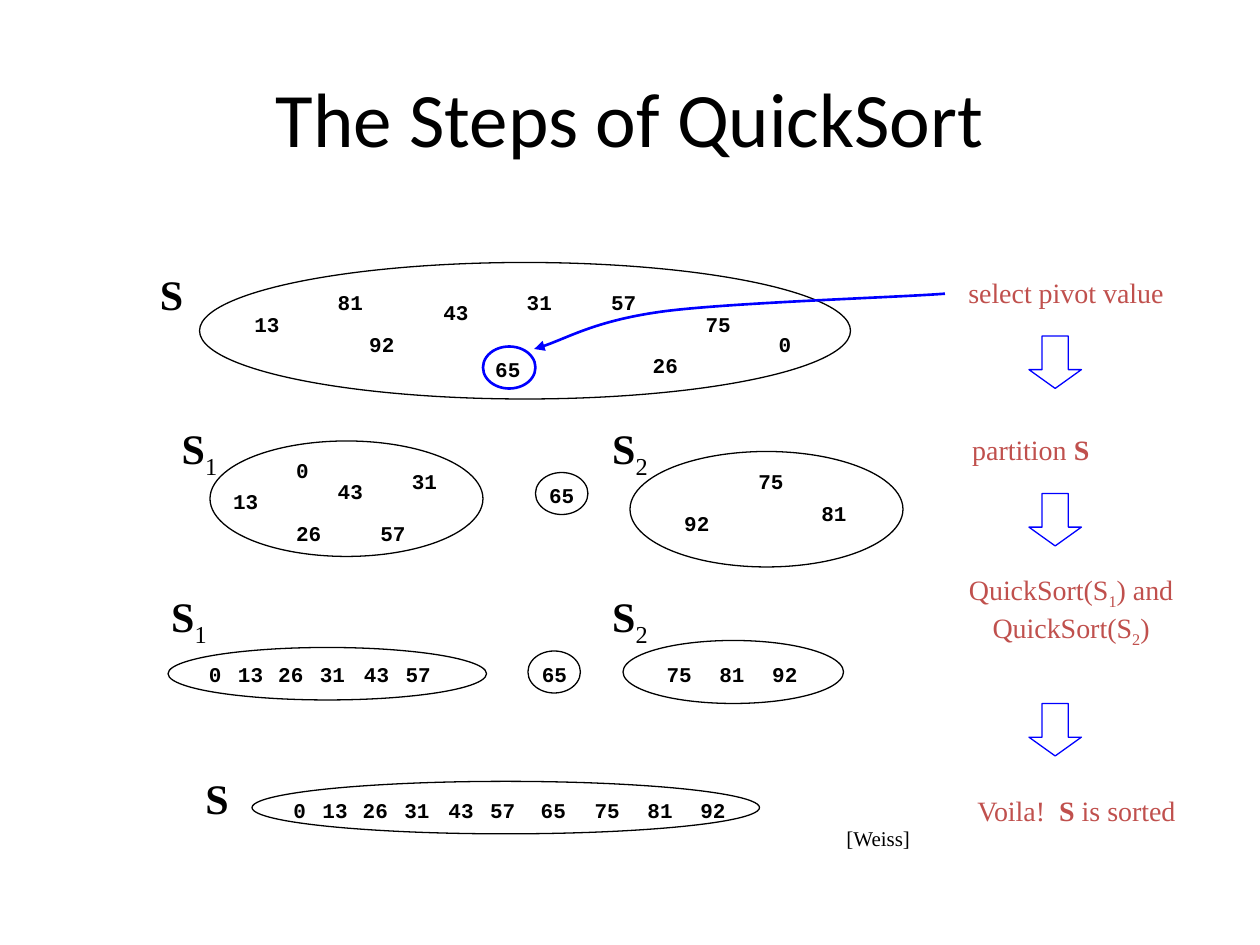
from dataclasses import dataclass

from lxml import etree
from pptx import Presentation
from pptx.dml.color import RGBColor
from pptx.enum.shapes import MSO_SHAPE
from pptx.enum.text import MSO_ANCHOR, MSO_AUTO_SIZE, PP_ALIGN
from pptx.oxml.ns import qn
from pptx.util import Pt

OVAL, DOWN_ARROW = MSO_SHAPE.OVAL, MSO_SHAPE.DOWN_ARROW
MIDDLE, CENTER = MSO_ANCHOR.MIDDLE, PP_ALIGN.CENTER
GROW = MSO_AUTO_SIZE.SHAPE_TO_FIT_TEXT


@dataclass(frozen=True)
class Theme:
    """Colours, fonts and type sizes of the slide."""
    ink: RGBColor = RGBColor(0, 0, 0)
    paper: RGBColor = RGBColor(255, 255, 255)
    accent: RGBColor = RGBColor(0, 0, 255)
    step: RGBColor = RGBColor(0xC0, 0x50, 0x4D)
    title_font: str = "Calibri"
    number_font: str = "Courier New"
    text_font: str = "Times New Roman"
    title_size: int = 44
    set_size: int = 24
    step_size: int = 16
    small_size: int = 12
    thin: float = 0.75
    thick: float = 1.5


class Diagram:
    """Draws the elements of a sorting diagram on one slide."""

    def __init__(self, slide, theme):
        self.s, self.t = slide, theme

    def style(self, p, font, size, color):
        """Centre a paragraph and set its font."""
        p.alignment = CENTER
        p.font.name, p.font.size = font, Pt(size)
        p.font.color.rgb = color

    def title(self, text, box):
        """Fill and place the title placeholder."""
        sp = self.s.shapes.title
        sp.left, sp.top, sp.width, sp.height = map(Pt, box)
        tf = sp.text_frame
        tf.text, tf.vertical_anchor = text, MIDDLE
        self.style(tf.paragraphs[0], self.t.title_font, self.t.title_size, self.t.ink)

    def text(self, box, paragraphs, font, size, color):
        """Add centred text; each run is a (text, mark) pair, mark being '', 'b' or 'sub'."""
        tf = self.s.shapes.add_textbox(*map(Pt, box)).text_frame
        tf.word_wrap, tf.auto_size, tf.vertical_anchor = False, GROW, MIDDLE
        for i, runs in enumerate(paragraphs):
            p = tf.add_paragraph() if i else tf.paragraphs[0]
            self.style(p, font, size, color)
            for text, mark in runs:
                r = p.add_run()
                r.text, r.font.bold = text, mark == "b"
                if mark == "sub":
                    r.font._element.set("baseline", "-25000")

    def number(self, value, x, y):
        """Add a number centred on a point."""
        w, h = (28.8 if value > 9 else 21.6), 21.6
        self.text((x - w / 2, y - h / 2, w, h), [[(str(value), "b")]],
                  self.t.number_font, self.t.small_size, self.t.ink)

    def row(self, values, xs, y):
        """Add sorted numbers on one line."""
        for value, x in zip(values, xs):
            self.number(value, x, y)

    def set_label(self, x, y, index=""):
        """Add the name of a set with an optional index."""
        runs = [("S", "b")] + ([(index, "sub")] if index else [])
        self.text((x, y, 36 if index else 28, 36), [runs],
                  self.t.text_font, self.t.set_size, self.t.ink)

    def step(self, box, *paragraphs):
        """Add the description of a step."""
        self.text(box, paragraphs, self.t.text_font, self.t.step_size, self.t.step)

    def note(self, box, text):
        """Add a small plain note."""
        self.text(box, [[(text, "")]], self.t.text_font, self.t.small_size, self.t.ink)

    def outline(self, sp, color, width, fill=None):
        """Give a shape its line and fill, without shadow."""
        sp.shadow.inherit = False
        sp.line.color.rgb, sp.line.width = color, Pt(width)
        if fill is None:
            sp.fill.background()
        else:
            sp.fill.solid()
            sp.fill.fore_color.rgb = fill

    def ellipse(self, box, fill=None):
        """Add the outline of a set."""
        sp = self.s.shapes.add_shape(OVAL, *map(Pt, box))
        self.outline(sp, self.t.ink, self.t.thin, fill)

    def pivot(self, x, y, chosen=False):
        """Add the ring around a pivot value."""
        sp = self.s.shapes.add_shape(OVAL, Pt(x), Pt(y), Pt(30), Pt(24))
        if chosen:
            self.outline(sp, self.t.accent, self.t.thick)
        else:
            self.outline(sp, self.t.ink, self.t.thin)

    def down_arrow(self, x, y):
        """Add a block arrow leading to the next step."""
        sp = self.s.shapes.add_shape(DOWN_ARROW, Pt(x), Pt(y), Pt(30), Pt(30))
        sp.adjustments[0], sp.adjustments[1] = 0.5, 0.358
        self.outline(sp, self.t.accent, self.t.thin)

    def curved_arrow(self, start, points):
        """Add an arrow along Bezier curves, three points to each curve."""
        fb = self.s.shapes.build_freeform(Pt(start[0]), Pt(start[1]))
        fb.add_line_segments([(Pt(x), Pt(y)) for x, y in points], close=False)
        sp = fb.convert_to_shape()
        self.outline(sp, self.t.accent, self.t.thick)
        track = next(sp._element.iter(qn("a:path")))
        segments = track.findall(qn("a:lnTo"))
        for i in range(0, len(segments), 3):
            curve = etree.SubElement(track, qn("a:cubicBezTo"))
            for segment in segments[i:i + 3]:
                curve.append(segment[0])
                track.remove(segment)
        etree.SubElement(sp.line._get_or_add_ln(), qn("a:tailEnd"), type="triangle")


def main():
    """Build the slide and save it."""
    prs = Presentation()
    prs.slide_width, prs.slide_height = Pt(720), Pt(540)
    theme = Theme()
    d = Diagram(prs.slides.add_slide(prs.slide_layouts[5]), theme)
    d.title("The Steps of QuickSort", (36, 21.6, 648, 90))

    for box in ((114, 150, 372, 78), (120, 252, 156, 66), (96, 370, 182, 30),
                (144, 446.5, 290, 30)):
        d.ellipse(box, theme.paper)
    for box in ((360, 258, 156, 66), (356, 366, 126, 36)):
        d.ellipse(box)

    scattered = (
        (13, 152.6, 185), (81, 200.2, 172.8), (92, 218.2, 196.6), (43, 260.6, 178.6),
        (65, 290.2, 211), (31, 308.2, 172.8), (57, 356.4, 172.8), (26, 380.2, 208.8),
        (75, 410.4, 185), (0, 448.6, 196.6),
        (13, 140.4, 286.6), (81, 476.6, 293), (92, 398.2, 298.8), (43, 200.2, 280.8),
        (65, 321, 283), (31, 242.6, 275), (57, 224.6, 304.6), (26, 176.4, 304.6),
        (75, 440.6, 275), (0, 172.8, 268.6))
    for value, x, y in scattered:
        d.number(value, x, y)

    smaller, larger = (0, 13, 26, 31, 43, 57), (75, 81, 92)
    offsets = (0, 20.2, 43.2, 67, 92.2, 116)
    for y, left, middle, right in ((385.2, 123, 316.8, 388.1), (463, 171.3, 316.2, 347)):
        d.row(smaller, [left + dx for dx in offsets], y)
        d.number(65, middle, y)
        d.row(larger, [right + 30.2 * i for i in range(len(larger))], y)

    d.pivot(276, 198, chosen=True)
    d.pivot(306, 270)
    d.pivot(301.7, 372)

    for x, y, index in ((84, 150, ""), (96, 240, "1"), (342, 240, "2"),
                        (90, 336, "1"), (342, 336, "2"), (110, 438, "")):
        d.set_label(x, y, index)

    d.step((545.8, 153.5, 126.7, 26.6), [("select pivot value", "")])
    d.step((548, 243.5, 82, 26.6), [("partition ", ""), ("S", "b")])
    d.step((545.8, 326, 132.5, 46),
           [("QuickSort(S", ""), ("1", "sub"), (") and", "")],
           [("QuickSort(S", ""), ("2", "sub"), (")", "")])
    d.step((550, 450, 130.3, 26.6), [("Voila!  ", ""), ("S", "b"), (" is sorted", "")])
    d.note((476, 468, 51.8, 21.6), "[Weiss]")

    d.curved_arrow((540, 167.8), (
        (513.4, 169.9), (419.8, 172.8), (380.2, 177.8),
        (341.3, 182.9), (321.1, 195.1), (305.3, 199.4)))
    for y in (192, 282, 402):
        d.down_arrow(588, y)

    prs.save("out.pptx")


if __name__ == "__main__":
    main()
